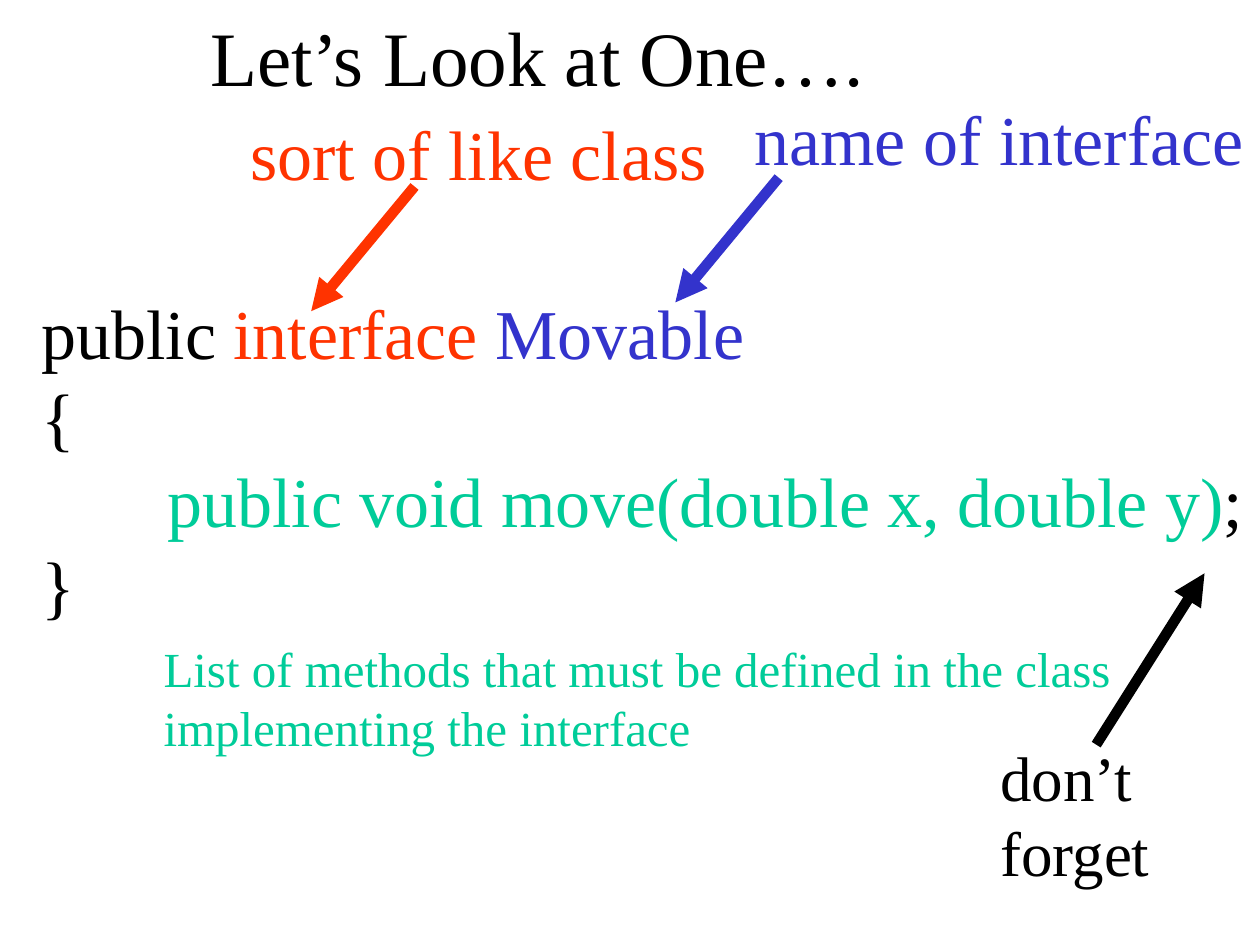
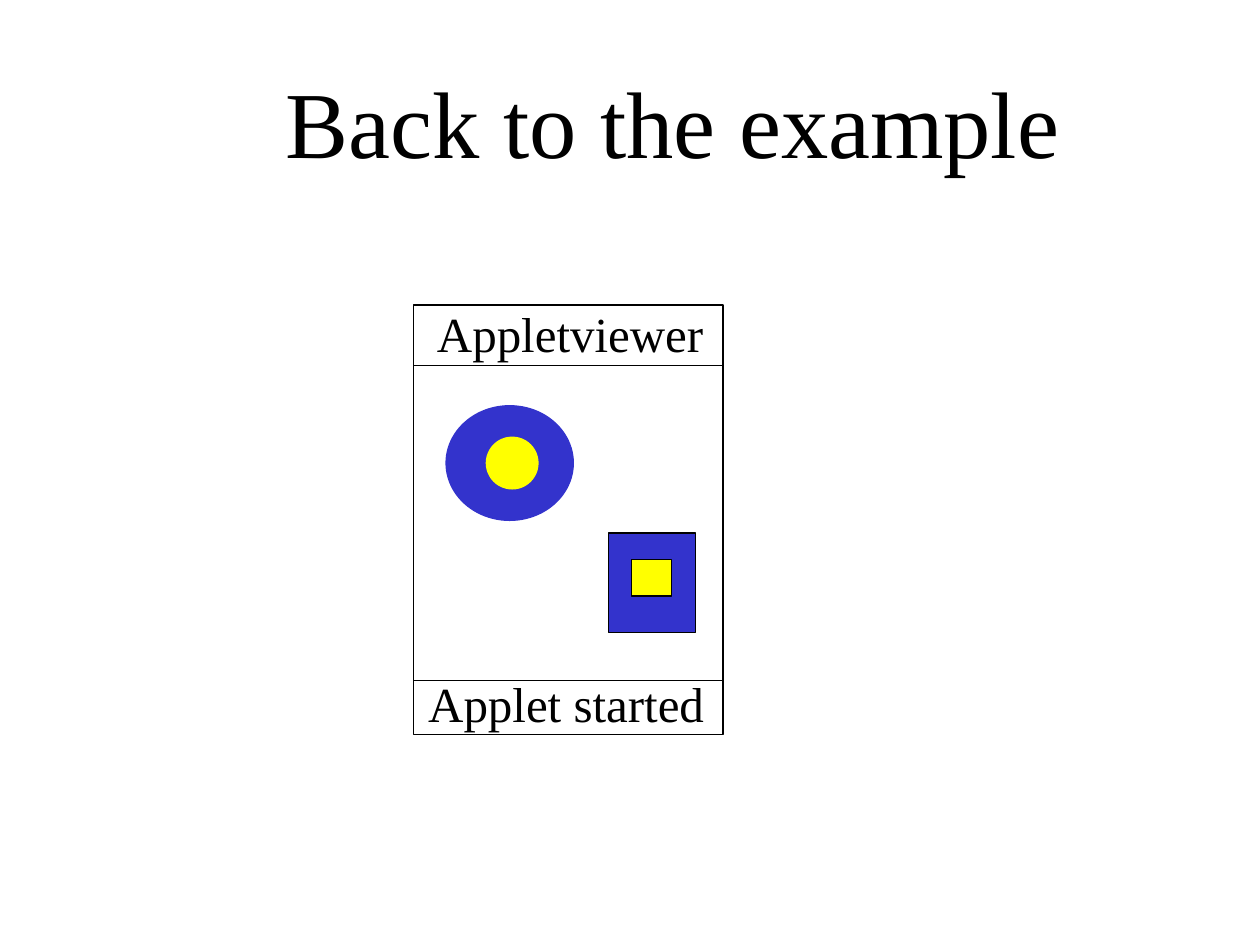
"""Build two slides on interfaces: an annotated declaration and an applet sketch."""
from lxml import etree
from pptx import Presentation
from pptx import util as u
from pptx.dml.color import RGBColor
from pptx.enum import shapes, text
from pptx.oxml.ns import qn

PX = 9144
FONT = "Times New Roman"
BLACK, WHITE, RED = "000000", "FFFFFF", "FF3300"
BLUE, GREEN, YELLOW = "3333CC", "00CC99", "FFFF00"
hue = RGBColor.from_string


def write(slide, box, size, lines):
    frame = slide.shapes.add_textbox(*[n * PX for n in box]).text_frame
    frame.word_wrap = False
    frame.auto_size = text.MSO_AUTO_SIZE.SHAPE_TO_FIT_TEXT
    for row, line in enumerate(lines):
        para = frame.add_paragraph() if row else frame.paragraphs[0]
        tabs = etree.SubElement(para._p.get_or_add_pPr(), qn("a:tabLst"))
        for inch in range(8):
            etree.SubElement(tabs, qn("a:tab"), pos=str(inch * 100 * PX), algn="l")
        for words, color in line:
            run = para.add_run()
            run.text = words
            run.font.name = FONT
            run.font.size = u.Pt(size)
            run.font.color.rgb = hue(color)


def link(slide, ends, color, width, arrow=False):
    line = slide.shapes.add_connector(
        shapes.MSO_CONNECTOR.STRAIGHT, *[n * PX for n in ends])
    line.line.width = u.Pt(width)
    line.line.color.rgb = hue(color)
    if arrow:
        etree.SubElement(line.line._get_or_add_ln(), qn("a:tailEnd"), type="triangle")
    etree.SubElement(line._element.spPr, qn("a:effectLst"))


deck = Presentation()
deck.slide_width, deck.slide_height = 1000 * PX, 750 * PX
blank = deck.slide_layouts[6]

code = deck.slides.add_slide(blank)
write(code, (157, 3, 543, 84), 44, [[("Let’s Look at One….", BLACK)]])
write(code, (23, 225, 974, 277), 40, [
    [("public", BLACK), (" interface ", RED), ("Movable", BLUE)],
    [("{", BLACK)],
    [("\t", BLACK), ("public void move(double x, double y)", GREEN), (";", BLACK)],
    [("}", BLACK)],
])
write(code, (189, 83, 382, 77), 40, [[("sort of like class", RED)]])
write(code, (589, 71, 408, 77), 40, [[("name of interface", BLUE)]])
write(code, (120, 502, 774, 104), 28, [
    [("List of methods that must be defined in the class", GREEN)],
    [("implementing the interface", GREEN)],
])
write(code, (784, 581, 139, 130), 36, [[("don’t", BLACK)], [("forget", BLACK)]])
for ends, color in [
    ((329, 148, 247, 247), RED),
    ((618, 141, 536, 240), BLUE),
    ((870, 591, 956, 455), BLACK),
]:
    link(code, ends, color, 6, True)

demo = deck.slides.add_slide(blank)
write(demo, (217, 46, 634, 100), 54, [[("Back to the example", BLACK)]])
rect, oval = shapes.MSO_SHAPE.RECTANGLE, shapes.MSO_SHAPE.OVAL
for kind, box, fill, edge in [
    (rect, (328, 242, 246, 341), WHITE, BLACK),
    (oval, (354, 322, 101, 91), BLUE, BLUE),
    (oval, (386, 347, 41, 41), YELLOW, YELLOW),
    (rect, (483, 423, 69, 79), BLUE, BLACK),
    (rect, (501, 444, 32, 29), YELLOW, BLACK),
]:
    shape = demo.shapes.add_shape(kind, *[n * PX for n in box])
    shape.shadow.inherit = False
    shape.fill.solid()
    shape.fill.fore_color.rgb = hue(fill)
    shape.line.color.rgb = hue(edge)
    shape.line.width = u.Pt(0.75)
for y in (290, 540):
    link(demo, (328, y, 574, y), BLACK, 0.75)
write(demo, (337, 236, 234, 57), 28, [[("Appletviewer", BLACK)]])
write(demo, (330, 530, 241, 57), 28, [[("Applet started", BLACK)]])

deck.save("out.pptx")
